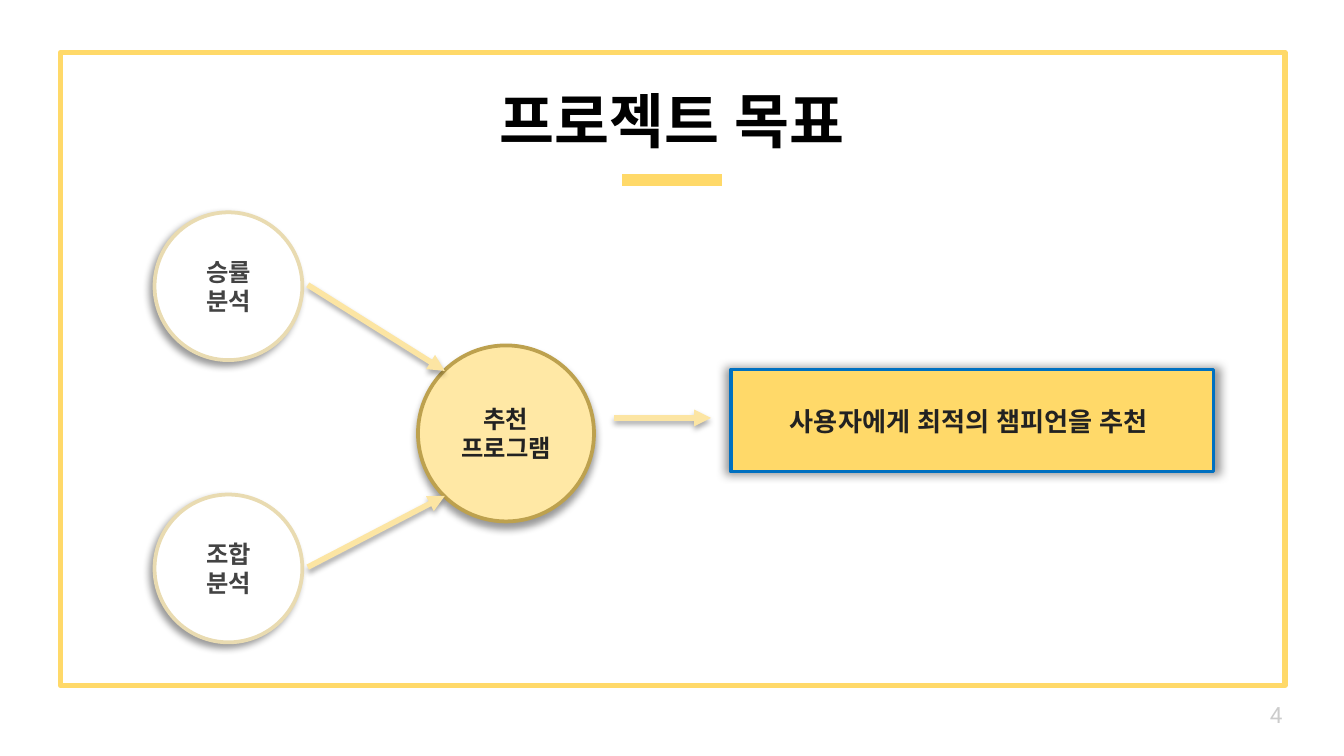
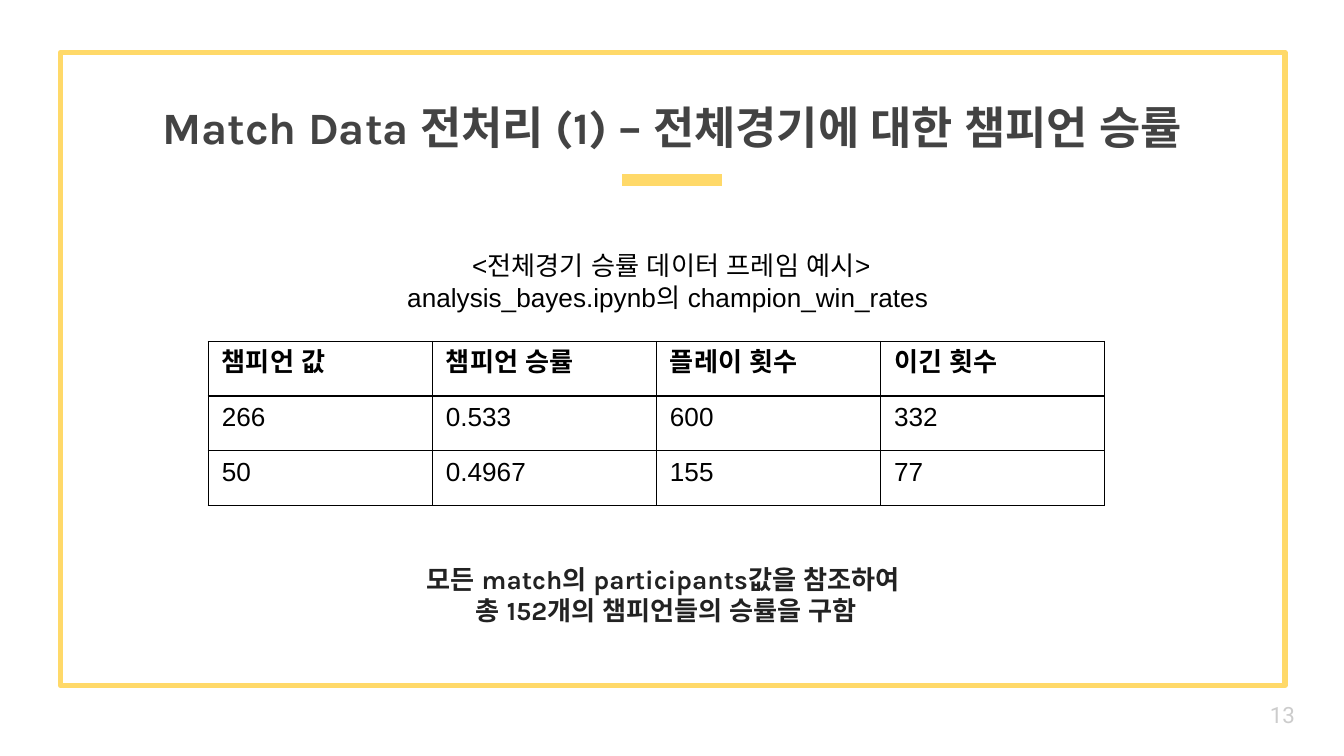
from dataclasses import dataclass

from lxml import etree
from pptx import Presentation
from pptx import util as u
from pptx.dml import color as dml
from pptx.enum import shapes, text
from pptx.oxml import ns


@dataclass(frozen=True)
class Theme:
    gold: str = "FFD969"
    pale_gold: str = "FFE8A5"
    arrow_gold: str = "FCE5A3"
    sand: str = "E9DBB1"
    bronze: str = "BDA14E"
    blue: str = "0070C0"
    white: str = "FFFFFF"
    black: str = "000000"
    ink: str = "222222"
    grey: str = "434343"
    page_grey: str = "CCCCCC"
    display: str = "Karla"
    plain: str = "Arial"
    number: str = "Roboto"
    title_size: int = 32
    long_title_size: int = 24
    body_size: int = 14
    node_size: int = 13
    page_size: int = 12


THEME = Theme()
SIDE_SHADOW = (40, 4, 3, 135, 100)
DROP_SHADOW = (40, 4, 3, 90, 100)
ARROW_SHADOW = (35, 3.1, 1.8, 90, 100)
GLOW_SHADOW = (40, 5, 0, 0, 102)


def rgb(value):
    return dml.RGBColor.from_string(value)


def child(parent, tag, **attributes):
    return etree.SubElement(parent, ns.qn(tag), {k: str(v) for k, v in attributes.items()})


def write(frame, content, *, size, color, font=THEME.display, bold=False,
          align=None, anchor=text.MSO_ANCHOR.TOP, inset=0.05, indent=None):
    frame.word_wrap = True
    frame.auto_size = text.MSO_AUTO_SIZE.NONE
    frame.vertical_anchor = anchor
    frame.margin_left = frame.margin_right = u.Inches(0.1)
    frame.margin_top = frame.margin_bottom = u.Inches(inset)
    frame.text = content
    for paragraph in frame.paragraphs:
        if indent is not None:
            properties = paragraph._p.get_or_add_pPr()
            properties.set("marL", str(u.Inches(indent)))
            properties.set("indent", "0")
            child(properties, "a:buNone")
        paragraph.alignment = align
        paragraph.space_before = u.Pt(0)
        for run in paragraph.runs:
            style = run.font
            style.name, style.size, style.bold = font, u.Pt(size), bold
            style.color.rgb = rgb(color)
            child(run._r.get_or_add_rPr(), "a:ea", typeface=font)


def set_effect(shape, shadow):
    effects = child(shape.element.spPr, "a:effectLst")
    if shadow:
        alpha, blur, distance, angle, scale = shadow
        outer = child(effects, "a:outerShdw", blurRad=u.Pt(blur), dist=u.Pt(distance),
                      dir=angle * 60000, sx=scale * 1000, sy=scale * 1000,
                      algn="ctr", rotWithShape=0)
        tint = child(outer, "a:srgbClr", val=THEME.black)
        child(tint, "a:alpha", val=alpha * 1000)


class Deck:
    def __init__(self, theme):
        self.theme = theme
        self.prs = Presentation()
        self.prs.slide_width = u.Inches(10)
        self.prs.slide_height = u.Inches(10) * 9 // 16
        self.slide = None

    def add_slide(self, layout, page):
        self.slide = self.prs.slides.add_slide(self.prs.slide_layouts[layout])
        if len(self.prs.slides) == 1:
            self.dress_master()
        self.label((9.35, 5.1, 0.6, 0.43), page, font=self.theme.number, inset=0.1,
                   size=self.theme.page_size, color=self.theme.page_grey,
                   anchor=text.MSO_ANCHOR.MIDDLE)

    def dress_master(self):
        frame = self.box(shapes.MSO_SHAPE.RECTANGLE, (0.45, 0.39, 9.11, 4.71),
                         line=self.theme.gold, weight=3)
        rule = self.line((4.63, 1.34), (5.37, 1.34), self.theme.gold, 6)
        for number, part in enumerate((frame, rule), 100):
            part.element.xpath("./*/p:cNvPr")[0].set("id", str(number))
            self.prs.slide_master.shapes.element.append(part.element)

    def fill_placeholder(self, placeholder, area, content, **style):
        (placeholder.left, placeholder.top,
         placeholder.width, placeholder.height) = map(u.Inches, area)
        write(placeholder.text_frame, content, bold=True, inset=0.1,
              align=text.PP_ALIGN.CENTER, **style)

    def title(self, area, content, **style):
        self.fill_placeholder(self.slide.shapes.title, area, content,
                              anchor=text.MSO_ANCHOR.BOTTOM, **style)

    def body(self, area, content, **style):
        self.fill_placeholder(self.slide.placeholders[1], area, content,
                              indent=0.15, **style)

    def label(self, area, content, **style):
        holder = self.slide.shapes.add_textbox(*map(u.Inches, area))
        write(holder.text_frame, str(content), **style)

    def box(self, preset, area, content=None, *, fill=None, line, weight=2,
            shadow=None, **style):
        shape = self.slide.shapes.add_shape(preset, *map(u.Inches, area))
        if fill:
            shape.fill.solid()
            shape.fill.fore_color.rgb = rgb(fill)
        else:
            shape.fill.background()
        shape.line.color.rgb = rgb(line)
        shape.line.width = u.Pt(weight)
        set_effect(shape, shadow)
        if content:
            write(shape.text_frame, content, bold=True, align=text.PP_ALIGN.CENTER,
                  anchor=text.MSO_ANCHOR.MIDDLE, **style)
        return shape

    def line(self, start, end, color, weight, arrow=False, shadow=None):
        connector = self.slide.shapes.add_connector(
            shapes.MSO_CONNECTOR.STRAIGHT, *map(u.Inches, start + end))
        connector.line.color.rgb = rgb(color)
        connector.line.width = u.Pt(weight)
        if arrow:
            child(connector.line._get_or_add_ln(), "a:tailEnd", type="triangle")
        set_effect(connector, shadow)
        return connector

    def table(self, area, rows):
        grid = self.slide.shapes.add_table(len(rows), len(rows[0]),
                                           *map(u.Inches, area)).table
        for r, row in enumerate(rows):
            for c, value in enumerate(row):
                cell = grid.cell(r, c)
                write(cell.text_frame, value, size=self.theme.body_size,
                      color=self.theme.black, font=self.theme.plain, bold=r == 0)
                properties = cell._tc.get_or_add_tcPr()
                for side in ("a:lnL", "a:lnR", "a:lnT", "a:lnB"):
                    border = child(properties, side, w=u.Pt(0.75))
                    child(child(border, "a:solidFill"), "a:srgbClr", val=self.theme.black)
                cell.fill.background()


def build_goal(deck):
    t = deck.theme
    deck.add_slide(5, 4)
    circle = shapes.MSO_SHAPE.OVAL
    for top, analysis in ((1.58, "승률\n분석"), (3.68, "조합\n분석")):
        deck.box(circle, (1.15, top, 1.1, 1.1), analysis, fill=t.white, line=t.sand,
                 shadow=SIDE_SHADOW, size=t.node_size, color=t.grey)
    deck.box(circle, (3.11, 2.57, 1.31, 1.31), "추천\n프로그램", fill=t.pale_gold,
             line=t.bronze, shadow=DROP_SHADOW, size=t.node_size, color=t.ink)
    flows = (((2.29, 2.12), (3.31, 2.76)),
             ((4.57, 3.11), (5.29, 3.11)),
             ((2.29, 4.22), (3.31, 3.69)))
    for start, end in flows:
        deck.line(start, end, t.arrow_gold, 3, arrow=True, shadow=ARROW_SHADOW)
    deck.box(shapes.MSO_SHAPE.RECTANGLE, (5.44, 2.75, 3.59, 0.76),
             "사용자에게 최적의 챔피언을 추천 ", fill=t.gold, line=t.blue,
             shadow=GLOW_SHADOW, size=t.body_size, color=t.ink)
    deck.title((0, 0.33, 10, 0.93), "프로젝트 목표", size=t.title_size, color=t.black)


def build_win_rates(deck):
    t = deck.theme
    deck.add_slide(1, 13)
    deck.title((0, 0.24, 10, 1), "Match Data 전처리 (1) – 전체경기에 대한 챔피언 승률",
               size=t.long_title_size, color=t.grey)
    deck.body((1.55, 4.09, 6.67, 0.5),
              "모든 match의 participants값을 참조하여 \n총 152개의 챔피언들의 승률을 구함",
              size=t.body_size, color=t.ink)
    deck.table((1.55, 2.54, 6.67, 1.22), (
        ("챔피언 값", "챔피언 승률", "플레이 횟수", "이긴 횟수"),
        ("266", "0.533", "600", "332"),
        ("50", "0.4967", "155", "77"),
    ))
    deck.label((2.62, 1.81, 4.75, 0.57),
               "<전체경기 승률 데이터 프레임 예시> analysis_bayes.ipynb의 champion_win_rates ",
               size=t.body_size, color=t.black, font=t.plain, align=text.PP_ALIGN.CENTER)


def main():
    deck = Deck(THEME)
    build_goal(deck)
    build_win_rates(deck)
    deck.prs.save("out.pptx")


if __name__ == "__main__":
    main()
